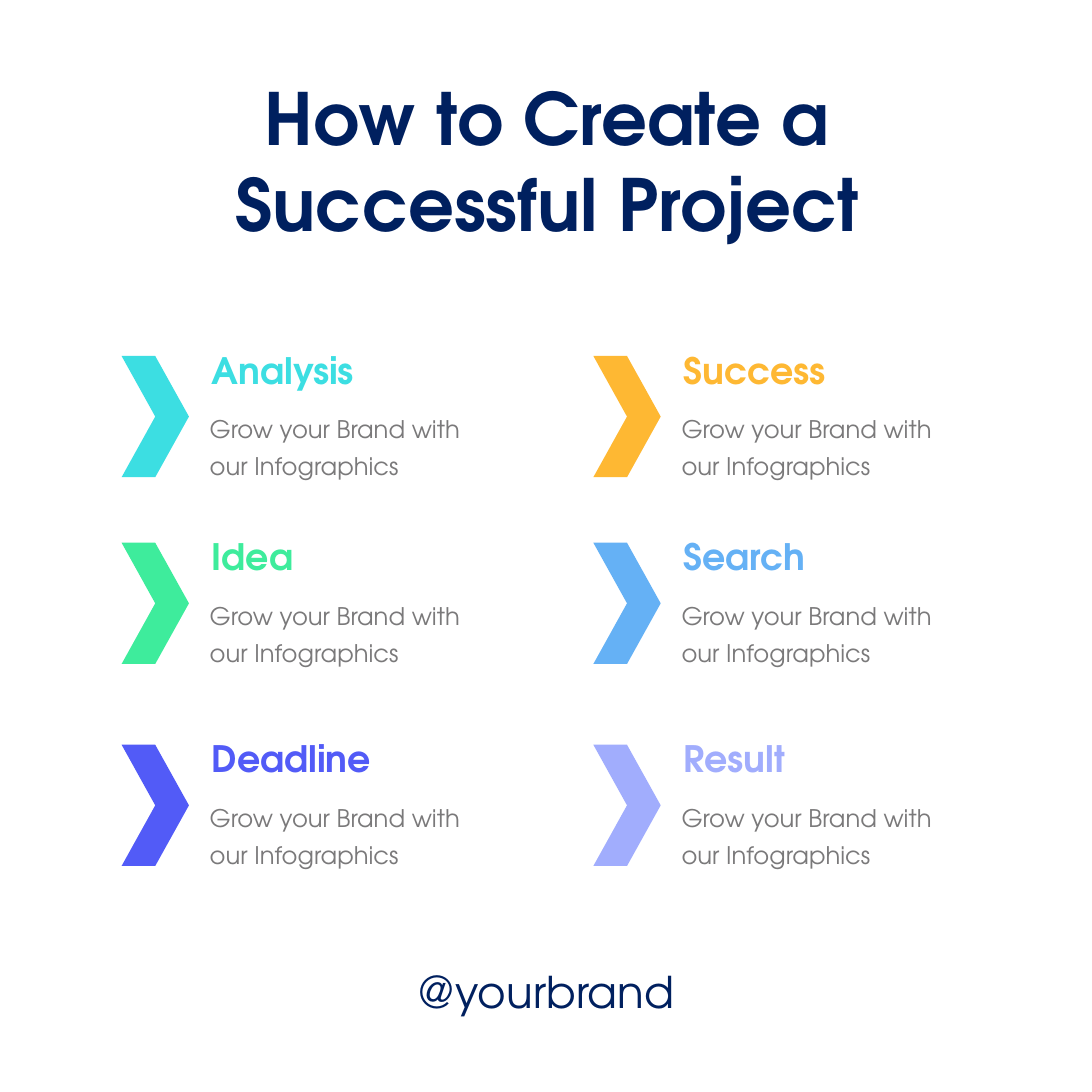
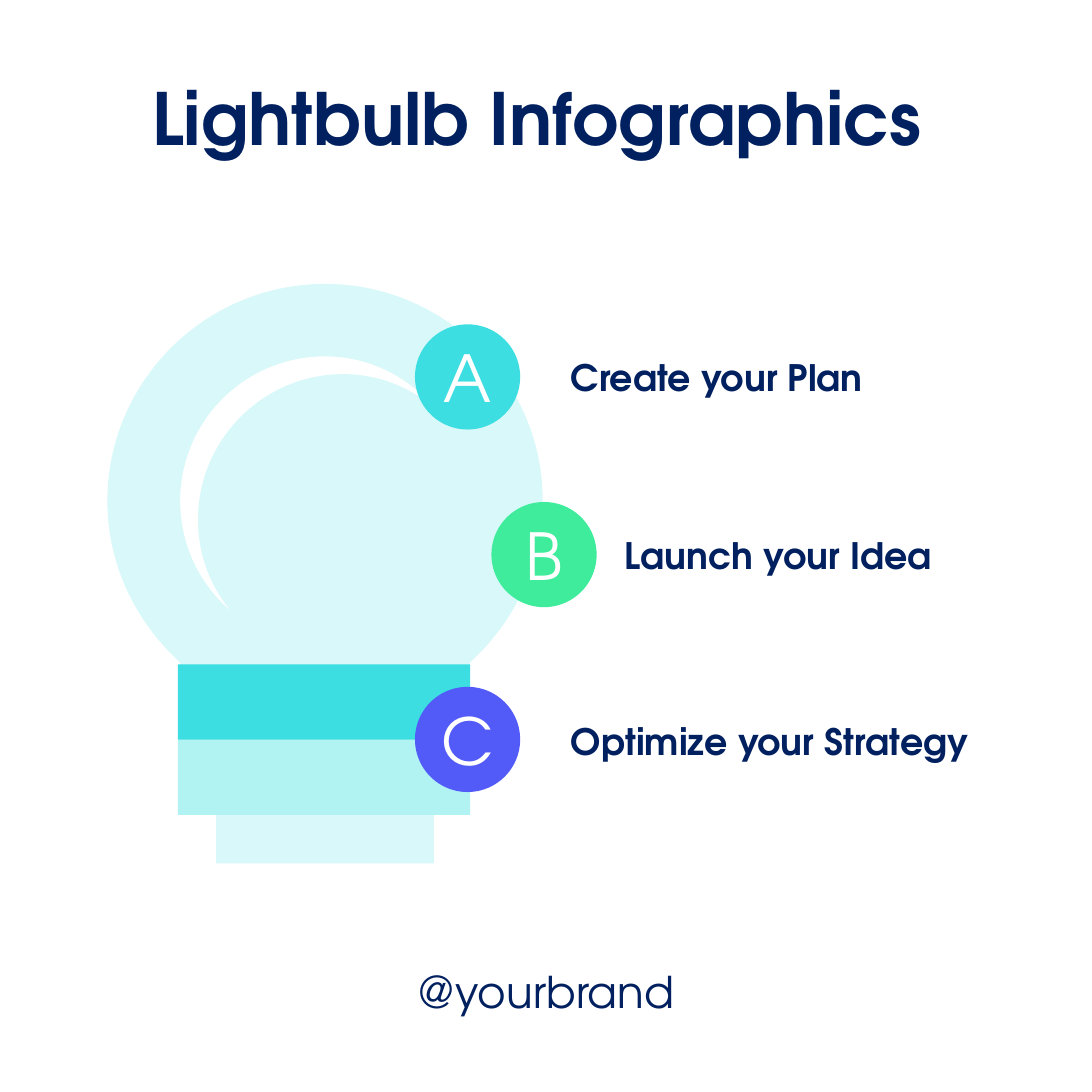
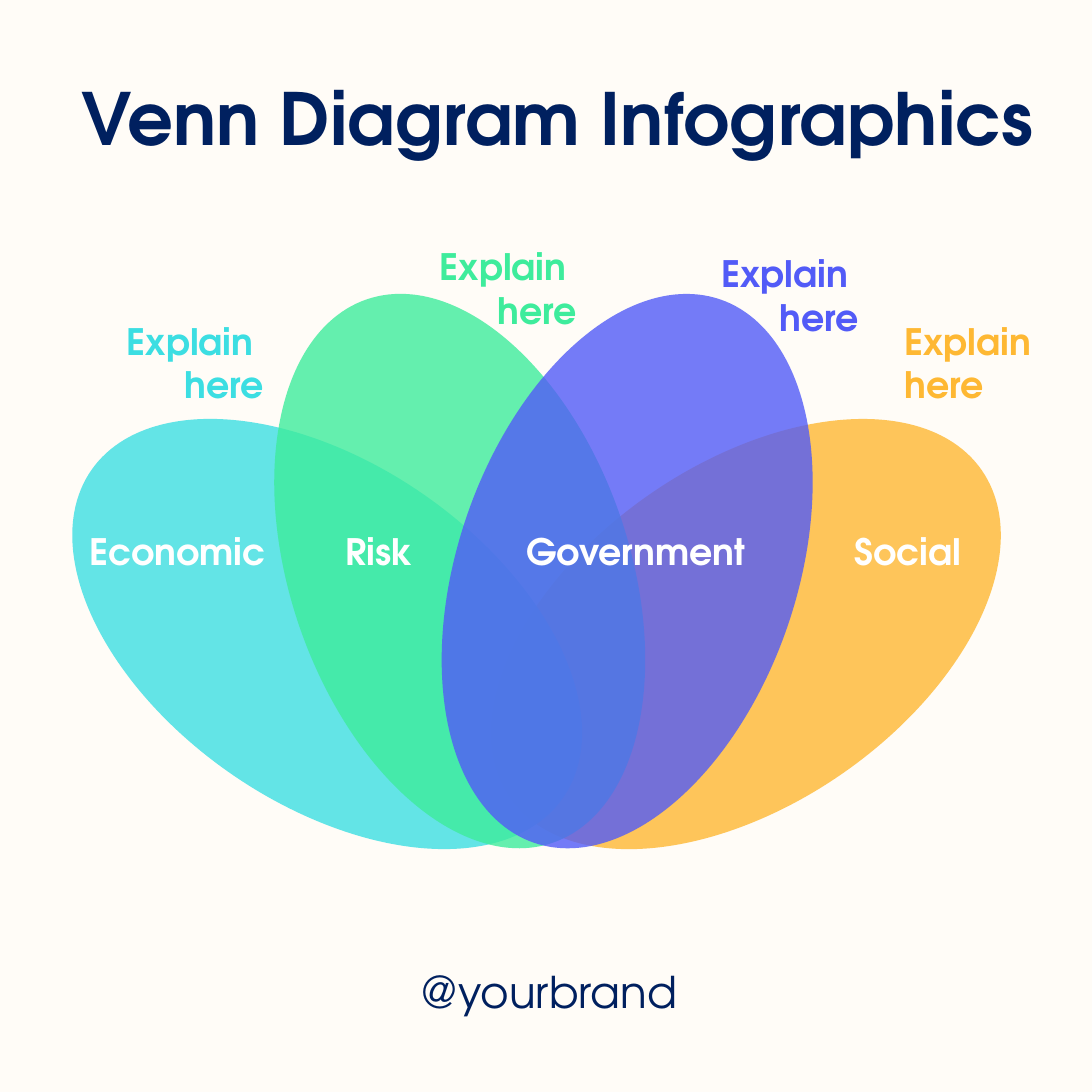
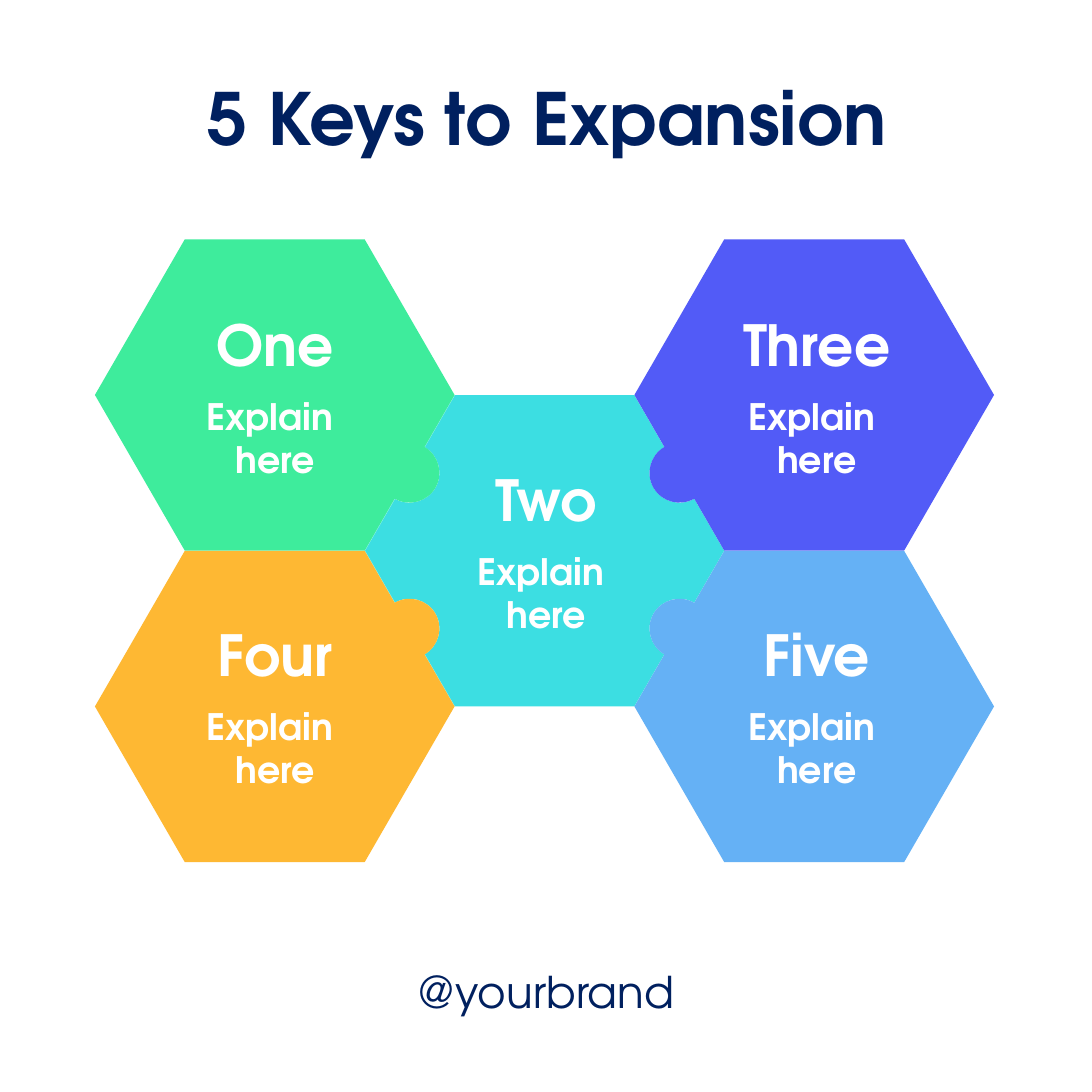
from math import cos, radians, sin, sqrt

from lxml import etree
from pptx import Presentation
from pptx import util as u
from pptx.dml.color import RGBColor
from pptx.enum import shapes, text
from pptx.oxml import ns

FONT = "TeX Gyre Adventor"
COLORS = {
    "navy": "00205F", "grey": "7A797A", "white": "FFFFFF", "cream": "FFFCF7",
    "teal": "3CDEE2", "green": "3EEC9C", "indigo": "525BF7", "amber": "FEB833",
    "sky": "65B1F5", "lilac": "A1ADFD", "glass": "D8F8F9", "aqua": "B1F2F3",
    "mint": "A7FCED",
}
LEFT, CENTER, RIGHT = text.PP_ALIGN.LEFT, text.PP_ALIGN.CENTER, text.PP_ALIGN.RIGHT
PRESET = shapes.MSO_SHAPE

prs = Presentation()
prs.slide_width = prs.slide_height = u.Inches(7.5)
COLUMNS = 30
col = prs.slide_width // COLUMNS
painted = []


def write(slide, box, words, size, color, bold=True, align=LEFT, leading=None,
          inset=None, wrap=True, disc=None):
    area = [round(v * col) for v in box]
    if disc:
        holder = slide.shapes.add_shape(PRESET.OVAL, *area)
        painted.append((holder, disc, None))
    else:
        holder = slide.shapes.add_textbox(*area)
    frame = holder.text_frame
    frame.word_wrap = wrap
    if not disc:
        frame.auto_size = text.MSO_AUTO_SIZE.SHAPE_TO_FIT_TEXT
    if inset is not None:
        frame.vertical_anchor = text.MSO_ANCHOR.MIDDLE
        frame.margin_left = frame.margin_right = u.Pt(inset)
        frame.margin_top = frame.margin_bottom = u.Pt(inset)
    for i, line in enumerate(words.split("\n")):
        paragraph = frame.add_paragraph() if i else frame.paragraphs[0]
        paragraph.text = line
        paragraph.alignment = align
        if leading:
            paragraph.line_spacing = u.Pt(leading)
        paragraph.font.name = FONT
        paragraph.font.size = u.Pt(size)
        paragraph.font.bold = bold
        paragraph.font.color.rgb = RGBColor.from_string(COLORS[color])


def outline(canvas, contours, color):
    builder = None
    for (start,), *steps in contours:
        origin = [round(v * col) for v in start]
        if builder:
            builder.move_to(*origin)
        else:
            builder = canvas.build_freeform(*origin, scale=1.0)
        builder.add_line_segments(
            [(round(x * col), round(y * col)) for step in steps for x, y in step], close=True)
    figure = builder.convert_to_shape()
    segments = iter(list(figure._element.iter(ns.qn("a:lnTo"))))
    for _, *steps in contours:
        for step in steps:
            segment = next(segments)
            if len(step) == 3:
                segment.tag = ns.qn("a:cubicBezTo")
                for _ in range(2):
                    extra = next(segments)
                    segment.append(extra[0])
                    extra.getparent().remove(extra)
    painted.append((figure, color, None))


deck = []
for title, left, width, height, brand_left, backdrop in [
    ("How to Create a Successful Project", 2.24, 25.6, 5.2, 9.5, "white"),
    ("Lightbulb Infographics ", 2.24, 25.6, 2.8, 9.5, "white"),
    ("Venn Diagram Infographics", 1.28, 28.08, 2.8, 9.58, "cream"),
    ("5 Keys to Expansion", 2.24, 25.6, 2.8, 9.5, "white"),
]:
    slide = prs.slides.add_slide(prs.slide_layouts[6])
    slide.background.fill.solid()
    slide.background.fill.fore_color.rgb = RGBColor.from_string(COLORS[backdrop])
    write(slide, (brand_left, 26.32, 11, 1.84), "@yourbrand", 21.6, "navy", False, CENTER)
    write(slide, (left, 1.82, width, height), title, 35.6, "navy", align=CENTER)
    deck.append(slide)
project, lightbulb, venn, keys = deck

steps = [
    [("Analysis", "teal"), ("Idea", "green"), ("Deadline", "indigo")],
    [("Success", "amber"), ("Search", "sky"), ("Result", "lilac")],
]
for side, column in enumerate(steps):
    x = 3.34 + 12.96 * side
    for y, (step, color) in zip((9.78, 14.91, 20.46), column):
        chevron = project.shapes.add_shape(
            PRESET.CHEVRON, *[round(v * col) for v in (x, y, 1.85, 3.33)])
        painted.append((chevron, color, None))
        write(project, (x + 2.08, y - 0.42, 9.32, 1.6), step, 18, color)
        write(project, (x + 2.03, y + 1.18, 7.72, 2.32),
              "Grow your Brand with our Infographics", 12, "grey", False, leading=18.4)

bulb = lightbulb.shapes.add_group_shape()
glass = [
    [(8.93, 7.8)],
    [(5.64, 7.8), (2.95, 10.48), (2.95, 13.76)],
    [(2.95, 15.48), (3.7, 17.06), (4.95, 18.2)],
    [(4.95, 21.76)], [(5.94, 21.76)], [(5.94, 23.72)],
    [(11.92, 23.72)], [(11.92, 21.76)], [(12.91, 21.76)], [(12.91, 18.2)],
    [(14.16, 17.06), (14.91, 15.48), (14.91, 13.76)],
    [(14.91, 10.48), (12.22, 7.8), (8.93, 7.8)],
]
glint = [
    [(9.43, 10.28)],
    [(7.23, 10.28), (5.44, 12.08), (5.44, 14.28)],
    [(5.44, 15.24), (5.78, 16.12), (6.36, 16.8)],
    [(5.5, 16.08), (4.95, 15), (4.95, 13.76)],
    [(4.95, 11.56), (6.73, 9.79), (8.93, 9.79)],
    [(10.15, 9.79), (11.24, 10.36), (11.97, 11.24)],
    [(11.28, 10.64), (10.4, 10.28), (9.43, 10.28)],
]
outline(bulb.shapes, [glass, glint], "glass")
for y, color in [(20.32, "aqua"), (18.25, "teal")]:
    band = bulb.shapes.add_shape(
        PRESET.RECTANGLE, *[round(v * col) for v in (4.89, y, 8.03, 2.07)])
    painted.append((band, color, None))

for letter, color, x, y, idea, idea_x, idea_y, width in [
    ("A", "teal", 11.4, 8.91, "Create your Plan", 15.64, 9.7, 10.36),
    ("C", "indigo", 11.4, 18.87, "Optimize your Strategy", 15.64, 19.7, 11.8),
    ("B", "green", 13.5, 13.79, "Launch your Idea", 17.12, 14.6, 10.36),
]:
    write(lightbulb, (x, y, 2.89, 2.89), letter, 32, "white", False, CENTER,
          inset=2.88, disc=color)
    write(lightbulb, (idea_x, idea_y, width, 1.32), idea, 18, "navy", inset=0.72)

petal_w, petal_h = 15.78, 9.32
for x, y, angle, color in [
    (20.49, 17.42, 145.2, "amber"), (8.99, 17.42, 34.8, "teal"),
    (12.63, 15.69, 71.1, "green"), (17.23, 15.69, 108.9, "indigo"),
]:
    petal = venn.shapes.add_shape(PRESET.OVAL, *[
        round(v * col) for v in (x - petal_w / 2, y - petal_h / 2, petal_w, petal_h)])
    petal.rotation = angle
    painted.append((petal, color, 80))
for topic, x, width, wrap in [
    ("Economic", 2.02, 5.72, False), ("Government", 13.73, 7.48, True),
    ("Risk", 9.08, 2.68, False), ("Social", 23.04, 3.8, False),
]:
    write(venn, (x, 14.34, width, 1.6), topic, 18, "white", align=CENTER, wrap=wrap)
for x, y, color, align, hint in [
    (2.72, 8.56, "teal", RIGHT, "Explain \nhere"),
    (11.32, 6.52, "green", RIGHT, "Explain \nhere"),
    (19.06, 6.7, "indigo", RIGHT, "Explain \nhere"),
    (24.46, 8.56, "amber", LEFT, "Explain\nhere"),
]:
    write(venn, (x, y, 4.92, 2.84), hint, 18, color, align=align)

hex_r, knob_r, seam = 4.94, 0.82, 0.01
apothem = hex_r * sqrt(3) / 2
handle = 0.55
INWARD, OUTWARD = -1, 1
for key, color, across, down, knobs, width in [
    ("Two", "teal", 0, 0, dict.fromkeys((0, 2, 3, 5), INWARD), 3.8),
    ("One", "green", -1, -1, {0: OUTWARD}, 4.16),
    ("Three", "indigo", 1, -1, {2: OUTWARD}, 4.92),
    ("Four", "amber", -1, 1, {5: OUTWARD}, 4),
    ("Five", "sky", 1, 1, {3: OUTWARD}, 3.84),
]:
    x, y = 14.96 + across * hex_r * 1.5, 15.13 + down * apothem
    corners = [(x + hex_r * cos(radians(60 * k)), y + hex_r * sin(radians(60 * k)))
               for k in range(6)]
    contour, seams = [], []
    for edge, corner in enumerate(corners):
        contour.append([corner])
        if edge in knobs:
            normal = radians(60 * edge + 30)
            out_x, out_y = cos(normal), sin(normal)
            bulge = knobs[edge]
            curve = [
                (x + out_x * (apothem + knob_r * bulge * away) - out_y * knob_r * along,
                 y + out_y * (apothem + knob_r * bulge * away) + out_x * knob_r * along)
                for along, away in [(-1, 0), (-1, handle), (-handle, 1), (0, 1),
                                    (handle, 1), (1, handle), (1, 0)]]
            contour += [curve[:1], curve[1:4], curve[4:]]
            if bulge == INWARD:
                seams += [(corner, curve[0]), (curve[-1], corners[(edge + 1) % 6])]
    outline(keys.shapes, [contour], color)
    for (x1, y1), (x2, y2) in seams:
        outline(keys.shapes, [[[(x1, y1)], [(x2, y2)], [(x2 + seam, y2)],
                               [(x1 + seam, y1)]]], "mint")
    label_x, label_y = 15 + across * 7.44, 15.12 + down * 4.26
    write(keys, (label_x - width / 2, label_y - 2.54, width, 2.28), key, 28, "white",
          align=CENTER, wrap=False)
    write(keys, (label_x - 3.72, label_y - 0.24, 7.44, 2.84), "Explain \nhere", 18,
          "white", align=CENTER)

for shape, color, opacity in painted:
    shape.shadow.inherit = False
    shape.line.fill.background()
    shape.fill.solid()
    shape.fill.fore_color.rgb = RGBColor.from_string(COLORS[color])
    if opacity:
        tint = shape._element.spPr.find(".//" + ns.qn("a:srgbClr"))
        etree.SubElement(tint, ns.qn("a:alpha"), val=str(opacity * 1000))

prs.save("out.pptx")
